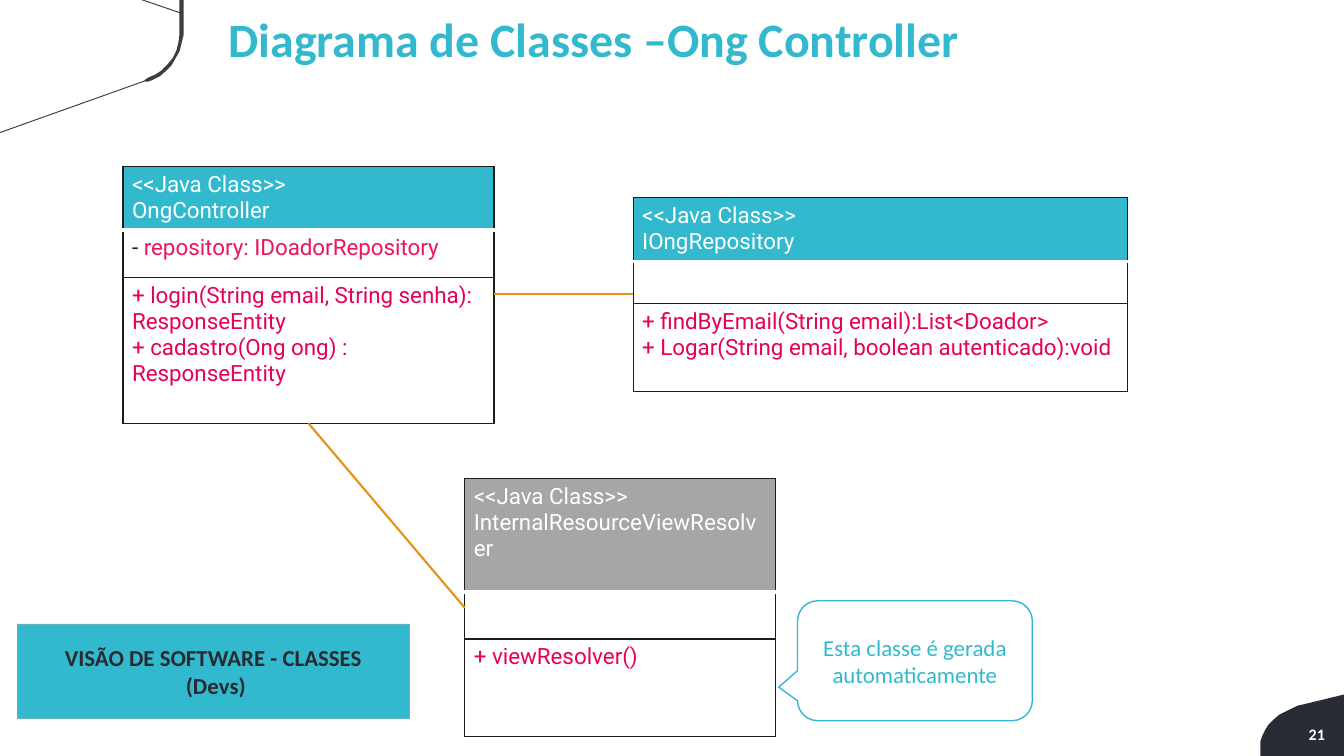
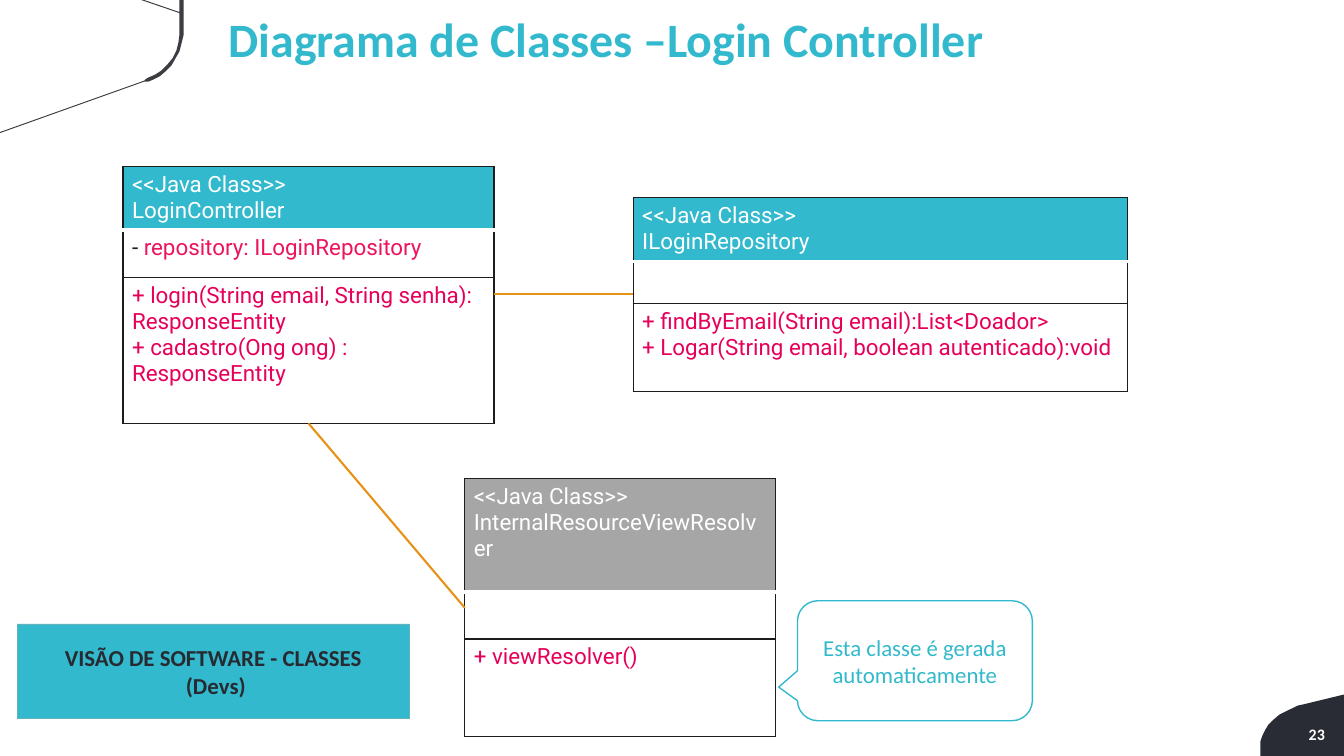
from dataclasses import dataclass

from lxml import etree
from pptx import Presentation
from pptx import util as u
from pptx.dml.color import RGBColor
from pptx.enum import shapes, text
from pptx.oxml import ns

PX = 9144


@dataclass(frozen=True)
class Theme:
    teal: str = "32B9CD"
    teal_edge: str = "63B1BC"
    grey: str = "A6A6A6"
    white: str = "FFFFFF"
    ink: str = "1C1C1C"
    banner_ink: str = "272A30"
    corner: str = "292C34"
    ribbon: str = "3B3D42"
    attribute: str = "ED145B"
    method: str = "E6005A"
    link: str = "E59217"
    heading_font: str = "Calibri"
    class_font: str = "Roboto"
    title_size: float = 34.2
    label_size: float = 16.3
    class_size: float = 16
    number_size: float = 11.4


theme = Theme()


def rgb(value):
    return RGBColor.from_string(value)


def write(frame, lines, *, size, color=None, font=theme.heading_font, bold=False,
          align=text.PP_ALIGN.LEFT, spacing=None, before=None):
    frame.word_wrap = True
    for index, line in enumerate(lines):
        paragraph = frame.add_paragraph() if index else frame.paragraphs[0]
        paragraph.alignment = align
        paragraph.line_spacing = spacing
        if before:
            paragraph.space_before = u.Pt(before)
        for words, tint in [(line, color)] if isinstance(line, str) else line:
            run = paragraph.add_run()
            run.text = words
            run.font.name = font
            run.font.size = u.Pt(size)
            run.font.bold = bold
            run.font.color.rgb = rgb(tint)


corner_outline = [
    (1333, 689), (1292, 699), (1287, 700), (1281, 703), (1275, 706), (1269, 709),
    (1263, 714), (1258, 719), (1255, 724), (1252, 730), (1250, 736), (1250, 750),
    (1333, 750),
]
ribbon_outline = [
    (0, 132), (143, 81), (147, 81), (152, 79), (158, 76), (164, 71), (170, 65),
    (174, 58), (178, 51), (180, 43), (182, 35), (182, 0), (178, 0), (178, 12),
    (143, 0), (140, 0), (178, 13), (178, 34), (177, 42), (175, 50), (171, 58),
    (166, 64), (160, 70), (154, 74), (147, 77), (144, 79), (143, 80), (0, 131),
]
decorations = [(corner_outline, theme.corner), (ribbon_outline, theme.ribbon)]
associations = [(490, 292, 628, 292), (306, 420, 461, 603)]
diagrams = [
    ("21", "Ong", "IDoadorRepository"),
    ("23", "Login", "ILoginRepository"),
]

deck = Presentation()
deck.slide_width, deck.slide_height = 1333 * PX, 750 * PX

for number, subject, repository in diagrams:
    slide = deck.slides.add_slide(deck.slide_layouts[6])
    parts = slide.shapes

    for outline, color in decorations:
        builder = parts.build_freeform(*outline[0], scale=PX)
        builder.add_line_segments(outline[1:], close=True)
        decoration = builder.convert_to_shape()
        decoration.shadow.inherit = False
        decoration.fill.solid()
        decoration.fill.fore_color.rgb = rgb(color)
        decoration.line.fill.background()

    page = parts.add_textbox(1254 * PX, 718 * PX, 62 * PX, 21 * PX).text_frame
    page.margin_left = page.margin_right = 2 * PX
    page.margin_top = page.margin_bottom = PX
    write(page, [number], size=theme.number_size, color=theme.white, bold=True,
          align=text.PP_ALIGN.RIGHT)

    title = parts.add_textbox(217 * PX, 11 * PX, 1069 * PX, 76 * PX).text_frame
    write(title, [f"Diagrama de Classes –{subject} Controller"], size=theme.title_size,
          color=theme.teal, bold=True, spacing=0.9, before=10)

    classes = [
        (122, 165, 368, (63, 47, 145), theme.teal, f"{subject}Controller",
         [[("- ", theme.ink), (f"repository: {repository}", theme.attribute)]],
         ["+ login(String email, String senha): ResponseEntity",
          "+ cadastro(Ong ong) : ResponseEntity"]),
        (628, 196, 490, (57, 42, 87), theme.teal, f"I{subject}Repository", [],
         ["+ findByEmail(String email):List<Doador>",
          "+ Logar(String email, boolean autenticado):void"]),
        (461, 475, 308, (112, 47, 97), theme.grey, "InternalResourceViewResolver", [],
         ["+ viewResolver()"]),
    ]
    for left, top, width, heights, header, name, attributes, methods in classes:
        grid = parts.add_table(3, 1, left * PX, top * PX, width * PX,
                               sum(heights) * PX).table
        grid.first_row = grid.horz_banding = False
        dark = (theme.ink, 1)
        compartments = [
            (["<<Java Class>>", name], theme.white, dark, (theme.white, 3)),
            (attributes, theme.attribute, (theme.white, 1), dark),
            (methods, theme.method, dark, dark),
        ]
        for row, (lines, color, upper, lower) in enumerate(compartments):
            grid.rows[row].height = heights[row] * PX
            cell = grid.cell(row, 0)
            cell.margin_left = cell.margin_right = 9 * PX
            cell.margin_top = cell.margin_bottom = 5 * PX
            properties = cell._tc.get_or_add_tcPr()
            for side, (tint, weight) in zip("LRTB", (dark, dark, upper, lower)):
                border = etree.SubElement(properties, ns.qn(f"a:ln{side}"),
                                          w=str(u.Pt(weight)))
                paint = etree.SubElement(border, ns.qn("a:solidFill"))
                etree.SubElement(paint, ns.qn("a:srgbClr"), val=tint)
            if row == 0:
                cell.fill.solid()
                cell.fill.fore_color.rgb = rgb(header)
            else:
                cell.fill.background()
            write(cell.text_frame, lines, size=theme.class_size, color=color,
                  font=theme.class_font)

    for ends in associations:
        association = parts.add_connector(shapes.MSO_CONNECTOR.STRAIGHT,
                                          *(end * PX for end in ends))
        association.line.color.rgb = rgb(theme.link)
        association.line.width = u.Pt(1.5)
        etree.SubElement(association._element.spPr, ns.qn("a:effectLst"))

    remark = parts.add_shape(shapes.MSO_SHAPE.ROUNDED_RECTANGULAR_CALLOUT,
                             791 * PX, 596 * PX, 233 * PX, 119 * PX)
    for index, value in enumerate((-0.58, 0.22, 0.17)):
        remark.adjustments[index] = value
    remark.fill.background()
    remark.line.color.rgb = rgb(theme.teal)
    remark.line.width = u.Pt(1)

    banner = parts.add_shape(shapes.MSO_SHAPE.RECTANGLE,
                             17 * PX, 619 * PX, 389 * PX, 94 * PX)
    banner.fill.solid()
    banner.fill.fore_color.rgb = rgb(theme.teal)
    banner.line.color.rgb = rgb(theme.teal_edge)
    banner.line.width = u.Pt(0.5)

    labels = [
        (remark, ["Esta classe é gerada automaticamente"], theme.teal, False),
        (banner, ["VISÃO DE SOFTWARE - CLASSES", " (Devs)"], theme.banner_ink, True),
    ]
    for label, lines, color, bold in labels:
        label.shadow.inherit = False
        label.text_frame.vertical_anchor = text.MSO_ANCHOR.MIDDLE
        write(label.text_frame, lines, size=theme.label_size, color=color, bold=bold,
              align=text.PP_ALIGN.CENTER)

deck.save("out.pptx")
